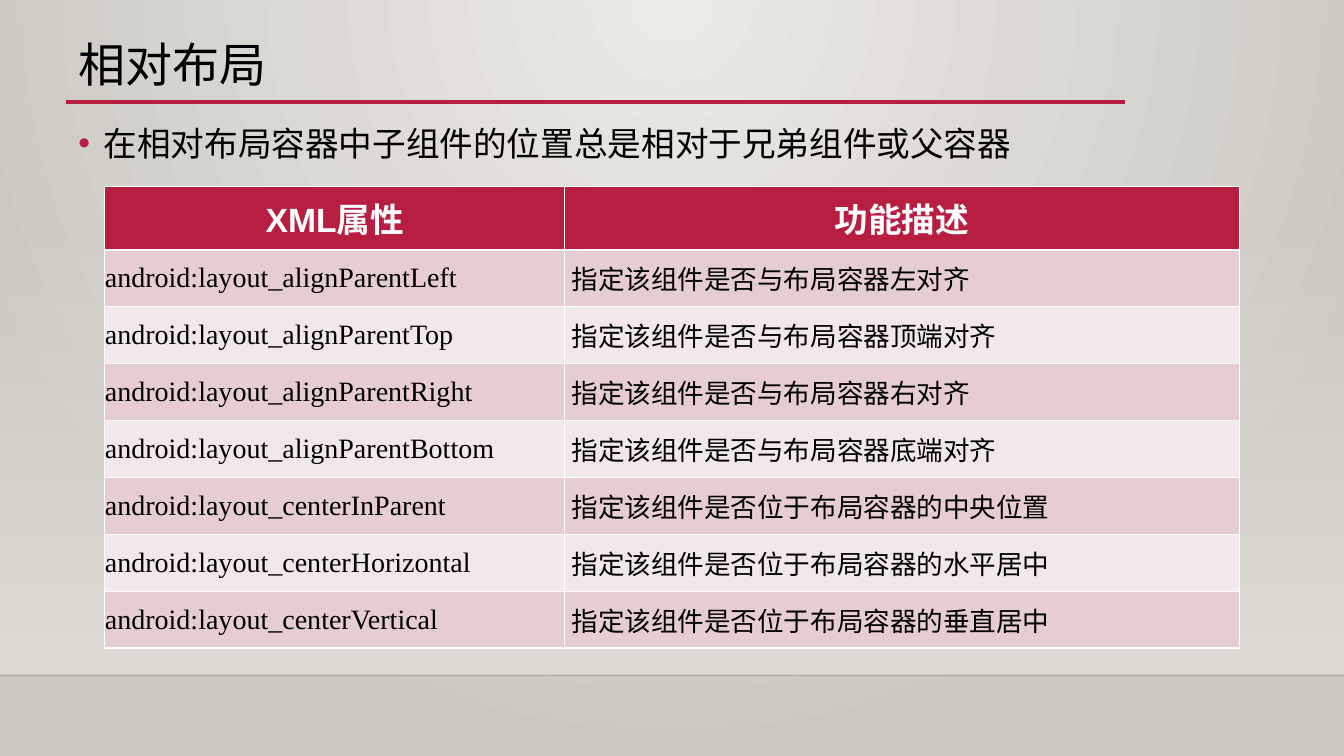
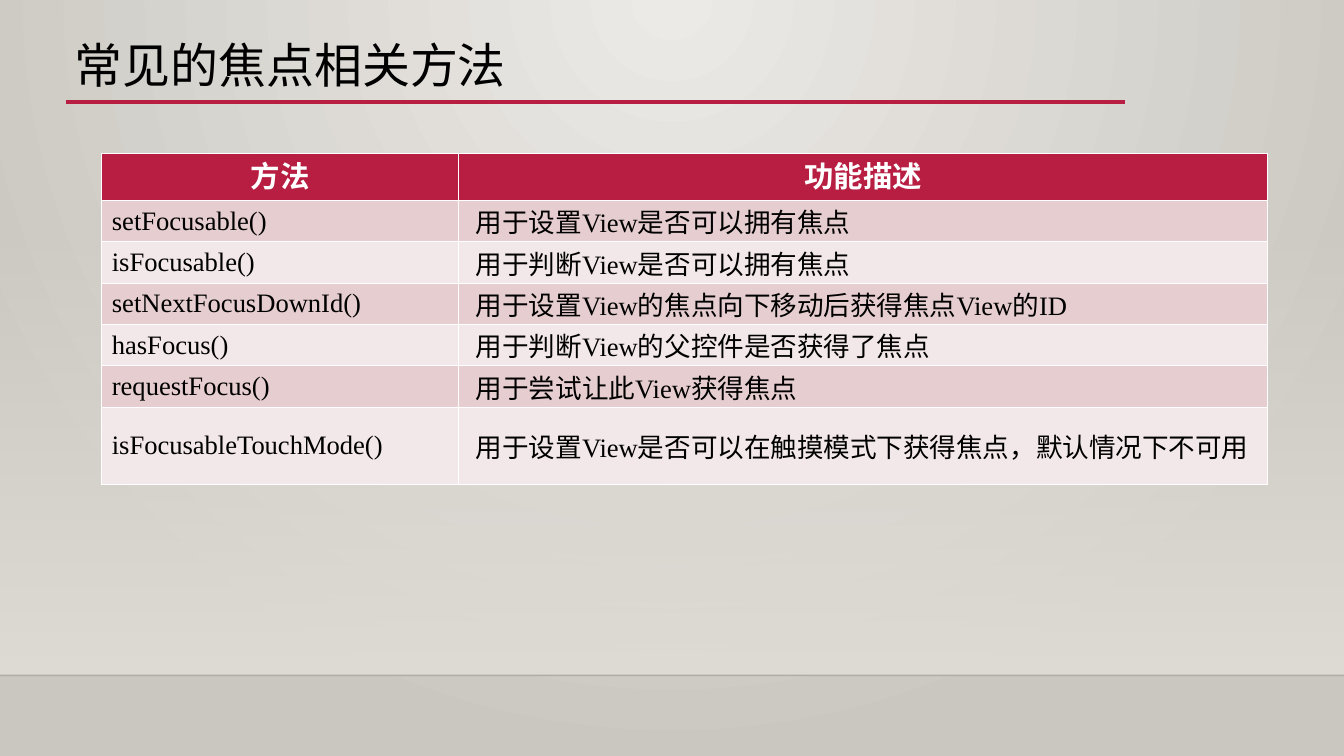
from pptx import Presentation
from pptx.dml.color import RGBColor
from pptx.enum import shapes, text
from pptx.oxml import parse_xml
from pptx.oxml.ns import nsdecls, qn
from pptx.util import Inches, Pt

HUES = {"red": "B71E42", "odd": "E6CDCF", "even": "F3E8E9", "white": "FFFFFF",
        "black": "000000", "light": "ECEAE7", "edge": "CAC7C1", "band": "DFDBD5"}
CJK, ROMAN = "Noto Sans CJK SC", "Times New Roman"
MIDDLE = text.MSO_ANCHOR.MIDDLE

PAGES = [
    {"title": "相对布局", "size": 33.6, "left": 0.68,
     "point": "在相对布局容器中子组件的位置总是相对于兄弟组件或父容器",
     "box": (1.04, 1.85, 11.25, 4.58), "cols": (4.56, 6.69), "head": 0.63,
     "pad": 0, "headsize": 24, "headanchor": MIDDLE,
     "fonts": ((ROMAN, 20), ("Arial", 19)),
     "rows": [
         ("XML属性", "功能描述"),
         ("android:layout_alignParentLeft", "指定该组件是否与布局容器左对齐"),
         ("android:layout_alignParentTop", "指定该组件是否与布局容器顶端对齐"),
         ("android:layout_alignParentRight", "指定该组件是否与布局容器右对齐"),
         ("android:layout_alignParentBottom", "指定该组件是否与布局容器底端对齐"),
         ("android:layout_centerInParent", "指定该组件是否位于布局容器的中央位置"),
         ("android:layout_centerHorizontal", "指定该组件是否位于布局容器的水平居中"),
         ("android:layout_centerVertical", "指定该组件是否位于布局容器的垂直居中")]},
    {"title": "常见的焦点相关方法", "size": 34.2, "left": 0.64, "point": None,
     "box": (1.01, 1.52, 11.56, 2.93), "cols": (3.54, 8.02), "head": 0.47,
     "pad": 0.1, "headsize": 21, "headanchor": text.MSO_ANCHOR.TOP,
     "fonts": ((ROMAN, 19), (ROMAN, 19)),
     "rows": [
         ("方法", "功能描述"),
         ("setFocusable()", "用于设置View是否可以拥有焦点"),
         ("isFocusable()", "用于判断View是否可以拥有焦点"),
         ("setNextFocusDownId()", "用于设置View的焦点向下移动后获得焦点View的ID"),
         ("hasFocus()", "用于判断View的父控件是否获得了焦点"),
         ("requestFocus()", "用于尝试让此View获得焦点"),
         ("isFocusableTouchMode()",
          "用于设置View是否可以在触摸模式下获得焦点，默认情况下不可用")]},
]


def rgb(hue):
    return RGBColor.from_string(HUES[hue])


def node(xml):
    """Parse one drawing element whose start tag carries NS."""
    return parse_xml(xml.replace("NS", nsdecls("a"), 1))


def shade(fill, root, stops, shape):
    """Give a fill the gradient of (position, hue, alpha) stops."""
    fill.gradient()
    old = next(root.iter(qn("a:gradFill")))
    marks = "".join(
        f'<a:gs pos="{pos * 1000}"><a:srgbClr val="{HUES[hue]}">'
        f'<a:alpha val="{alpha * 1000}"/></a:srgbClr></a:gs>'
        for pos, hue, alpha in stops)
    new = node(f'<a:gradFill NS rotWithShape="1"><a:gsLst>{marks}</a:gsLst>'
               f'{shape}</a:gradFill>')
    old.getparent().replace(old, new)


def rule(slide, left, right, top, hue, width, alpha=100):
    line = slide.shapes.add_connector(
        shapes.MSO_CONNECTOR.STRAIGHT, Inches(left), Inches(top),
        Inches(right), Inches(top))
    line.line.color.rgb = rgb(hue)
    line.line.width = Pt(width)
    props = line._element.spPr
    if alpha < 100:
        tint = next(props.iter(qn("a:srgbClr")))
        tint.append(node(f'<a:alpha NS val="{alpha * 1000}"/>'))
    props.append(node("<a:effectLst NS/>"))


def write(para, words, font, size, hue="black", bold=False):
    run = para.add_run()
    run.text = words
    face = run.font
    face.name, face.size, face.bold = font, Pt(size), bold
    face.color.rgb = rgb(hue)
    props = run._r.get_or_add_rPr()
    props.set("lang", "zh-CN")
    props.find(qn("a:latin")).addnext(node(f'<a:ea NS typeface="{CJK}"/>'))


def frame(slide):
    """Draw the lower band and the two rules every slide has."""
    band = slide.shapes.add_shape(
        shapes.MSO_SHAPE.RECTANGLE, 0, Inches(2.21), Inches(13.33), Inches(4.49))
    band.shadow.inherit = False
    band.line.fill.background()
    shade(band.fill, band._element, [(0, "band", 0), (100, "band", 100)],
          '<a:lin ang="5400000" scaled="0"/>')
    rule(slide, 0, 13.33, 6.7, "black", 1, 20)
    rule(slide, 0.65, 11.16, 1.01, "red", 2.5)


def head(slide, page):
    title = slide.shapes.title
    title.left, title.top = Inches(page["left"]), Inches(0.37)
    title.width, title.height = Inches(8.19), Inches(0.6)
    body = title.text_frame
    body.auto_size = text.MSO_AUTO_SIZE.NONE
    body.vertical_anchor = MIDDLE
    para = body.paragraphs[0]
    para.alignment = text.PP_ALIGN.LEFT
    para.line_spacing = 0.9
    write(para, page["title"], CJK, page["size"])


def point(slide, words):
    box = slide.shapes.add_textbox(
        Inches(0.68), Inches(1.09), Inches(11.97), Inches(0.82))
    box.text_frame.word_wrap = True
    para = box.text_frame.paragraphs[0]
    props = para._p.get_or_add_pPr()
    props.set("marL", str(Inches(0.25)))
    props.set("indent", str(-Inches(0.25)))
    props.append(node(f'<a:buClr NS><a:srgbClr val="{HUES["red"]}"/></a:buClr>'))
    props.append(node('<a:buFont NS typeface="Arial"/>'))
    props.append(node('<a:buChar NS char="•"/>'))
    para.line_spacing = 1.2
    write(para, words, "Calibri", 24)


def grid(slide, page):
    rows, cols = page["rows"], page["cols"]
    table = slide.shapes.add_table(
        len(rows), len(cols), *map(Inches, page["box"])).table
    for col, width in zip(table.columns, cols):
        col.width = Inches(width)
    pitch = (page["box"][3] - page["head"]) / (len(rows) - 1)
    for i, row in enumerate(rows):
        table.rows[i].height = Inches(pitch if i else page["head"])
        for j, words in enumerate(row):
            cell = table.cell(i, j)
            cell.margin_top = cell.margin_bottom = 0
            cell.margin_left = cell.margin_right = Inches(page["pad"] if i else 0)
            cell.vertical_anchor = MIDDLE if i else page["headanchor"]
            cell.fill.solid()
            cell.fill.fore_color.rgb = rgb(
                ("odd" if i % 2 else "even") if i else "red")
            para = cell.text_frame.paragraphs[0]
            if i == 0:
                para.alignment = text.PP_ALIGN.CENTER
                write(para, words, "Arial", page["headsize"], "white", True)
                continue
            if j:
                para.alignment = text.PP_ALIGN.JUSTIFY
                para._p.get_or_add_pPr().set("marL", str(Inches(0.07)))
            write(para, words, *page["fonts"][j])


def main():
    deck = Presentation()
    deck.slide_width, deck.slide_height = Inches(13.33), Inches(7.5)
    master = deck.slide_master
    shade(master.background.fill, master.element,
          [(0, "light", 100), (100, "edge", 100)],
          '<a:path path="circle">'
          '<a:fillToRect l="43000" t="0" r="43000" b="100000"/></a:path>')
    for page in PAGES:
        slide = deck.slides.add_slide(deck.slide_layouts[5])
        frame(slide)
        head(slide, page)
        if page["point"]:
            point(slide, page["point"])
        grid(slide, page)
    deck.save("out.pptx")


if __name__ == "__main__":
    main()
